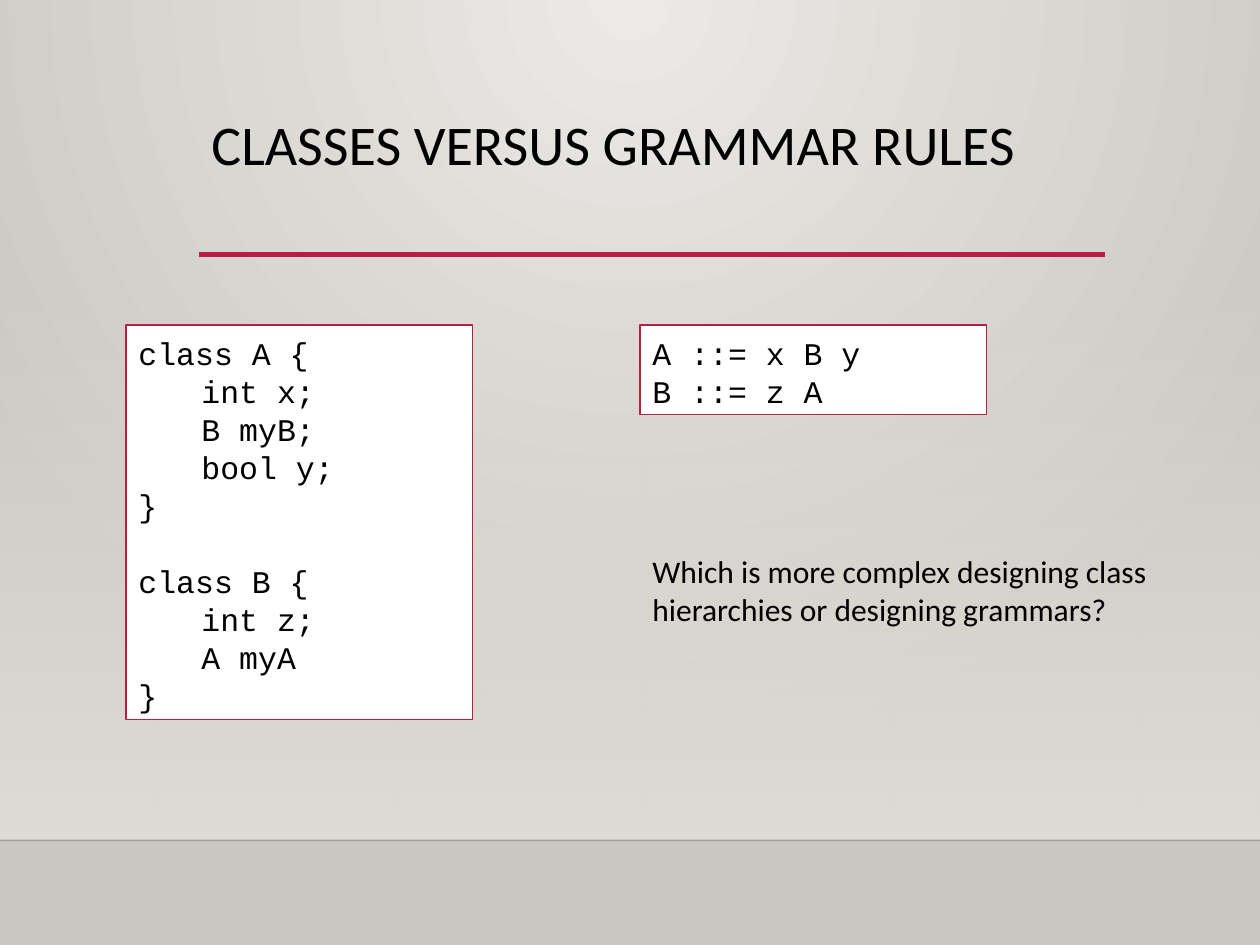
from typing import NamedTuple, Optional

from lxml import etree
from pptx import Presentation
from pptx.dml.color import RGBColor
from pptx.enum.shapes import MSO_CONNECTOR, MSO_SHAPE
from pptx.enum.text import MSO_ANCHOR, PP_ALIGN
from pptx.oxml.ns import qn
from pptx.util import Inches, Pt

RECT = MSO_SHAPE.RECTANGLE
LINE = MSO_CONNECTOR.STRAIGHT
LEFT = PP_ALIGN.LEFT
TOP, MIDDLE = MSO_ANCHOR.TOP, MSO_ANCHOR.MIDDLE

BLACK = RGBColor(0, 0, 0)
INK = RGBColor(0, 0, 1)
WHITE = RGBColor(255, 255, 255)
RED = RGBColor(0xB7, 0x1E, 0x42)
LIGHT = RGBColor(0xEC, 0xEA, 0xE7)
DARK = RGBColor(0xCA, 0xC7, 0xC1)
SAND = RGBColor(0xDF, 0xDB, 0xD5)

SANS, MONO = "Calibri", "Courier New"
PITCH = Pt(21.7)

CLASSES = (
    "class A {\n\tint x;\n\tB myB;\n\tbool y;\n}",
    "class B {\n\tint z;\n\tA myA\n}",
)
RULES = ("A ::= x B y\nB ::= z A",)


class Rule(NamedTuple):
    """A horizontal line."""

    left: float
    right: float
    top: float
    color: RGBColor
    width: float
    alpha: Optional[int] = None


class Code(NamedTuple):
    """A framed listing made of blocks parted by one line."""

    left: float
    height: float
    blocks: tuple


class Label(NamedTuple):
    """A plain text on the slide."""

    left: float
    top: float
    width: float
    height: float
    text: str
    size: int
    anchor: MSO_ANCHOR
    space: float


LINES = (
    Rule(0, 10, 6.67, INK, 1, 20),
    Rule(1.58, 8.77, 2.02, RED, 2.5),
)
CODES = (Code(1, 3.13, CLASSES), Code(5.08, 0.71, RULES))
LABELS = (
    Label(1.58, 0.88, 7.19, 0.58, "CLASSES VERSUS GRAMMAR RULES", 32, MIDDLE, 0.9),
    Label(5.08, 4.33, 4.24, 0.71,
          "Which is more complex designing class hierarchies or designing grammars?",
          18, TOP, 1),
)


def add_node(root, tag: str, **attrs):
    """Append a drawing element with its attributes."""
    return etree.SubElement(root, qn(tag), {k: str(v) for k, v in attrs.items()})


def set_stops(fill, colors: tuple) -> None:
    """Color the two stops of a gradient."""
    fill.gradient()
    for stop, color in zip(fill.gradient_stops, colors):
        stop.color.rgb = color


def set_back(slide) -> None:
    """Fill the background with a glow from the top centre."""
    set_stops(slide.background.fill, (LIGHT, DARK))
    grad = next(slide.background._cSld.iter(qn("a:gradFill")))
    grad.remove(grad.find(qn("a:lin")))
    glow = add_node(grad, "a:path", path="circle")
    add_node(glow, "a:fillToRect", l=43000, t=0, r=43000, b=100000)


def draw_fade(slide) -> None:
    """Draw the band that grows opaque towards its foot."""
    band = slide.shapes.add_shape(RECT, 0, Inches(2.2), Inches(10), Inches(4.46))
    band.shadow.inherit = False
    band.line.fill.background()
    set_stops(band.fill, (SAND, SAND))
    band.fill.gradient_angle = 270
    tones = band._element.spPr.iter(qn("a:srgbClr"))
    for tone, alpha in zip(tones, (0, 100000)):
        add_node(tone, "a:alpha", val=alpha)


def draw_rule(slide, rule: Rule) -> None:
    """Draw one horizontal line."""
    top = Inches(rule.top)
    line = slide.shapes.add_connector(
        LINE, Inches(rule.left), top, Inches(rule.right), top)
    line.line.color.rgb = rule.color
    line.line.width = Pt(rule.width)
    props = line._element.spPr
    if rule.alpha is not None:
        tone = next(props.iter(qn("a:srgbClr")))
        add_node(tone, "a:alpha", val=rule.alpha * 1000)
    add_node(props, "a:effectLst")


def set_font(para, name: str, size: int) -> None:
    """Format the runs of a paragraph."""
    for run in para.runs:
        run.font.name = name
        run.font.size = Pt(size)
        run.font.color.rgb = BLACK


def draw_code(slide, code: Code) -> None:
    """Draw a framed listing."""
    box = slide.shapes.add_shape(
        RECT, Inches(code.left), Inches(2.58), Inches(2.75), Inches(code.height))
    box.shadow.inherit = False
    box.fill.solid()
    box.fill.fore_color.rgb = WHITE
    box.line.color.rgb = RED
    box.line.width = Pt(0.75)
    frame = box.text_frame
    frame.word_wrap = True
    frame.vertical_anchor = TOP
    frame.margin_top = Inches(0.07)
    frame.margin_bottom = 0
    rows = [(row, block > 0 and spot == 0)
            for block, text in enumerate(code.blocks)
            for spot, row in enumerate(text.split("\n"))]
    frame.text = "\n".join(row for row, _ in rows)
    for para, (_, gap) in zip(frame.paragraphs, rows):
        para.alignment = LEFT
        para.line_spacing = PITCH
        if gap:
            para.space_before = PITCH
        tabs = add_node(para._p.get_or_add_pPr(), "a:tabLst")
        add_node(tabs, "a:tab", pos=Inches(0.5), algn="l")
        set_font(para, MONO, 18)


def draw_label(slide, label: Label) -> None:
    """Draw a plain text."""
    box = slide.shapes.add_textbox(
        Inches(label.left), Inches(label.top), Inches(label.width), Inches(label.height))
    frame = box.text_frame
    frame.word_wrap = True
    frame.vertical_anchor = label.anchor
    frame.text = label.text
    para = frame.paragraphs[0]
    para.line_spacing = label.space
    set_font(para, SANS, label.size)


def main() -> None:
    """Build the slide and save it."""
    deck = Presentation()
    deck.slide_width, deck.slide_height = Inches(10), Inches(7.5)
    slide = deck.slides.add_slide(deck.slide_layouts[6])
    set_back(slide)
    draw_fade(slide)
    for rule in LINES:
        draw_rule(slide, rule)
    for code in CODES:
        draw_code(slide, code)
    for label in LABELS:
        draw_label(slide, label)
    deck.save("out.pptx")


if __name__ == "__main__":
    main()
